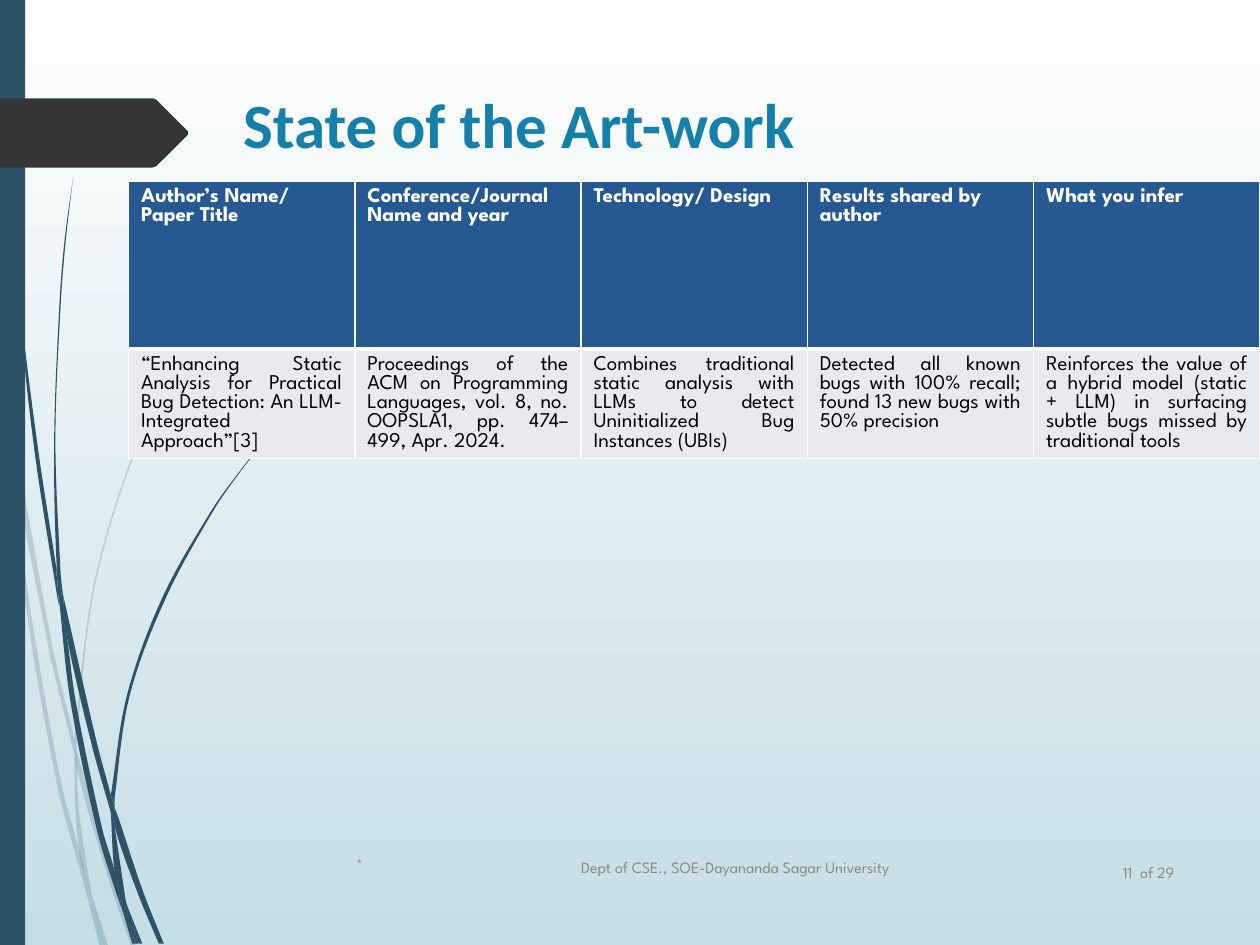
from dataclasses import dataclass
from itertools import count
from math import dist

from pptx import Presentation
from pptx.dml.color import RGBColor as Rgb
from pptx.enum.shapes import MSO_SHAPE as Preset
from pptx.enum.text import MSO_ANCHOR as Anchor, MSO_AUTO_SIZE as AutoSize, PP_ALIGN as Align
from pptx.oxml import parse_xml
from pptx.oxml.ns import nsdecls, qn
from pptx.util import Inches, Pt

COLORS = {
    "sky": "FFFFFF", "mist": "C5DEE5", "stem": "2E5369", "tag": "353535",
    "title": "1581AA", "footer": "898989", "header": "265991",
    "row": "E8EAEE", "white": "FFFFFF", "black": "000000",
}
FONTS = {
    "title": {"name": "Calibri", "size": Pt(36), "bold": True},
    "header": {"name": "League Spartan", "size": Pt(12), "bold": True},
    "row": {"name": "League Spartan", "size": Pt(12), "bold": False},
    "footer": {"name": "League Spartan", "size": Pt(9), "bold": False},
}
Point = tuple[float, float]


@dataclass(frozen=True)
class Blade:
    down: list[Point]
    back: list[Point]


@dataclass(frozen=True)
class FooterItem:
    words: str
    left: float
    top: float
    width: float
    align: Align


PALE_BLADES = [
    Blade([(0.08, 3.5), (0.06, 3.22), (0, 2.82)], [(0, 2.99), (0.07, 3.44), (0.08, 3.5)]),
    Blade([(0.4, 5.22), (0.59, 5.99)],
          [(0.59, 5.86), (0.43, 5.2), (0.1, 3.45), (0.12, 3.76), (0.4, 5.22)]),
    Blade([(0.61, 5.96), (0.61, 6.1), (0.85, 6.94), (1.04, 7.51)],
          [(1.08, 7.51), (0.88, 6.92), (0.64, 6.07), (0.61, 5.96)]),
    Blade([(0.83, 7.51), (0.86, 7.51)], [(0.73, 7.11), (0.83, 7.51)]),
    Blade([(0.08, 3.5), (0.19, 4.7), (0.45, 6.21), (0.64, 6.93), (0.7, 7.14)],
          [(0.69, 7.07), (0.65, 6.83), (0.48, 6.19), (0.22, 4.69), (0.12, 3.76), (0.08, 3.5)]),
    Blade([(0.59, 5.99), (0.6, 6.46), (0.64, 6.83), (0.67, 6.92), (0.73, 7.11)],
          [(0.72, 7.06), (0.63, 6.46), (0.61, 6.1), (0.61, 6.08), (0.59, 5.99)]),
    Blade([(0.61, 5.96), (0.61, 5.84), (0.76, 4.62), (1.11, 3.49), (1.59, 2.45),
           (1.87, 1.98), (2.01, 1.75), (2.17, 1.53)],
          [(2.17, 1.53), (2.01, 1.75), (1.86, 1.97), (1.58, 2.44), (1.1, 3.48),
           (0.75, 4.61), (0.59, 5.84), (0.59, 5.86)]),
    Blade([(0.7, 7.14), (0.79, 7.51)], [(0.82, 7.51), (0.7, 7.14)]),
    Blade([(0.59, 5.86), (0.59, 5.99), (0.61, 6.08)], [(0.61, 6.1), (0.61, 5.96)]),
    Blade([(0.65, 6.83), (0.69, 7.07), (0.7, 7.14), (0.82, 7.51)],
          [(0.83, 7.51), (0.73, 7.11), (0.67, 6.92), (0.65, 6.83)]),
]
DARK_BLADES = [
    Blade([(0.02, 0), (0.03, 0.48), (0.05, 1.1), (0.14, 2.33), (0.27, 3.55),
           (0.46, 4.77), (0.47, 4.81)],
          [(0.45, 4.57), (0.45, 4.53), (0.3, 3.55), (0.15, 2.32), (0.06, 1.09),
           (0.04, 0.48), (0.03, 0)]),
    Blade([(0.5, 4.72), (0.53, 5.05), (0.73, 5.92), (0.88, 6.45)],
          [(0.88, 6.33), (0.88, 6.31), (0.77, 5.9), (0.5, 4.72)]),
    Blade([(0.91, 6.41), (0.91, 6.56), (1.09, 7.08), (1.26, 7.49)],
          [(1.3, 7.49), (1.13, 7.06), (0.94, 6.49), (0.91, 6.41)]),
    Blade([(0.47, 4.77), (0.56, 5.57), (0.77, 6.59), (0.92, 7.08), (0.97, 7.22)],
          [(0.96, 7.17), (0.91, 6.91), (0.81, 6.57), (0.6, 5.56), (0.53, 5.05), (0.47, 4.77)]),
    Blade([(0.58, 1.41), (0.51, 1.93), (0.47, 2.45), (0.43, 3.49), (0.45, 4.49), (0.49, 4.72)],
          [(0.5, 4.72), (0.48, 4.53), (0.44, 3.49), (0.48, 2.45), (0.52, 1.93), (0.58, 1.41)]),
    Blade([(1.1, 7.49), (1.13, 7.49)], [(1.01, 7.19), (1.1, 7.49)]),
    Blade([(0.45, 4.49), (0.45, 4.53), (0.47, 4.77), (0.53, 5.05)],
          [(0.5, 4.72), (0.49, 4.72), (0.45, 4.49)]),
    Blade([(0.91, 6.41), (0.91, 6.33), (1.03, 5.52), (1.31, 4.76), (1.69, 4.06),
           (1.91, 3.74), (2.03, 3.59), (2.16, 3.44)],
          [(2.15, 3.44), (2.03, 3.58), (1.91, 3.73), (1.68, 4.05), (1.29, 4.74),
           (1.01, 5.51), (0.88, 6.31)]),
    Blade([(0.97, 7.22), (1.05, 7.49)], [(1.08, 7.49), (0.97, 7.22)]),
    Blade([(0.88, 6.45), (0.91, 6.92), (0.96, 7.06), (1.01, 7.19)],
          [(1, 7.16), (0.91, 6.56), (0.9, 6.51), (0.88, 6.45)]),
    Blade([(0.88, 6.31), (0.88, 6.45), (0.9, 6.51), (0.91, 6.56)], [(0.91, 6.41), (0.88, 6.31)]),
    Blade([(0.91, 6.91), (0.96, 7.17), (0.97, 7.22), (1.08, 7.49)],
          [(1.1, 7.49), (1.01, 7.19), (0.96, 7.06), (0.91, 6.91)]),
]
TAG = Blade([(0, 0.78), (1.21, 0.78), (1.24, 0.79), (1.49, 1.04)],
            [(1.49, 1.07), (1.24, 1.32), (1.21, 1.33), (0, 1.33)])
SURVEY = {
    "header": ["Author’s Name/ Paper Title", "Conference/Journal Name and year",
               "Technology/ Design", "Results shared by author", "What you infer"],
    "row": [
        "“Enhancing Static Analysis for Practical Bug Detection: An LLM-Integrated Approach”[3]",
        "Proceedings of the ACM on Programming Languages, vol. 8, no. OOPSLA1, pp. 474–499, Apr. 2024.",
        "Combines traditional static analysis with LLMs to detect Uninitialized Bug Instances (UBIs)",
        "Detected all known bugs with 100% recall; found 13 new bugs with 50% precision",
        "Reinforces the value of a hybrid model (static + LLM) in surfacing subtle bugs missed by traditional tools",
    ],
}
ROW_HEIGHTS = [1.33, 0.87]
ROW_LOOKS = {"header": ("white", Align.LEFT, (1, 1, 1, 3)),
             "row": ("black", Align.JUSTIFY, (1, 1, 3, 1))}
FOOTER = [
    FooterItem("*", 1.81, 6.66, 1.17, Align.RIGHT),
    FooterItem("Dept of CSE., SOE-Dayananda Sagar University", 3.17, 6.68, 5.33, Align.CENTER),
    FooterItem("11  of 29", 8.69, 6.72, 0.85, Align.CENTER),
]


def handle(at: Point, before: Point, after: Point, reach: float) -> Point:
    span = dist(before, after) or 1
    return tuple(p + (b - a) * reach / span for p, a, b in zip(at, before, after))


def bend(shape, edges: list[list[Point]]) -> None:
    lines = {number: line for number, line in enumerate(list(shape.element.iter(qn("a:lnTo"))), 1)}
    first = 0
    for edge in edges:
        padded = [edge[0], *edge, edge[-1]]
        for step, (a, b, c, d) in enumerate(zip(padded, padded[1:], padded[2:], padded[3:]), 1):
            line, reach = lines[first + step], dist(b, c) / 3
            line.tag = qn("a:cubicBezTo")
            for place, (x, y) in enumerate((handle(b, a, c, reach), handle(c, d, b, reach))):
                line.insert(place, parse_xml(
                    f'<a:pt {nsdecls("a")} x="{Inches(x) - shape.left}" y="{Inches(y) - shape.top}"/>'))
        first += len(edge)


def paint(shape, color: str, opacity: int = 100) -> None:
    shape.shadow.inherit = False
    shape.fill.solid()
    shape.fill.fore_color.rgb = Rgb.from_string(COLORS[color])
    shape.line.fill.background()
    if opacity < 100:
        tint = shape.element.spPr.find(qn("a:solidFill"))[0]
        tint.append(parse_xml(f'<a:alpha {nsdecls("a")} val="{opacity * 1000}"/>'))


def draw_blade(shapes, blade: Blade, color: str, opacity: int = 100, curved: bool = True) -> None:
    corners = [(Inches(x), Inches(y)) for x, y in blade.down + blade.back]
    builder = shapes.build_freeform(*corners[0])
    builder.add_line_segments(corners[1:], close=True)
    outline = builder.convert_to_shape()
    if curved:
        bend(outline, [blade.down, blade.back])
    paint(outline, color, opacity)


def draw_decor(slide, master) -> None:
    decor = []
    for blades, opacity in ((PALE_BLADES, 20), (DARK_BLADES, 100)):
        tuft = slide.shapes.add_group_shape()
        for blade in blades:
            draw_blade(tuft.shapes, blade, "stem", opacity)
    paint(slide.shapes.add_shape(Preset.RECTANGLE, 0, 0, Inches(0.2), Inches(7.5)), "stem")
    draw_blade(slide.shapes, TAG, "tag", curved=False)
    decor = [shape.element for shape in slide.shapes if not shape.is_placeholder]
    numbers = count(100)
    for place, part in enumerate(decor, 2):
        for props in part.iter(qn("p:cNvPr")):
            props.set("id", str(next(numbers)))
        master.element.cSld.spTree.insert(place, part)


def write(frame, words: str, style: str, color: str, align: Align) -> None:
    frame.word_wrap = True
    frame.text = words
    line = frame.paragraphs[0]
    line.alignment = align
    font = line.runs[0].font
    for attribute, value in FONTS[style].items():
        setattr(font, attribute, value)
    font.color.rgb = Rgb.from_string(COLORS[color])


def draw_survey(slide) -> None:
    table = slide.shapes.add_table(
        len(SURVEY), len(SURVEY["header"]), Inches(1.02), Inches(1.44),
        Inches(8.98), Inches(sum(ROW_HEIGHTS))).table
    for row, height, (kind, entries) in zip(table.rows, ROW_HEIGHTS, SURVEY.items()):
        row.height = Inches(height)
        color, align, widths = ROW_LOOKS[kind]
        for cell, words in zip(row.cells, entries):
            write(cell.text_frame, words, kind, color, align)
            cell.fill.solid()
            cell.fill.fore_color.rgb = Rgb.from_string(COLORS[kind])
            for place, (side, width) in enumerate(zip("LRTB", widths)):
                cell._tc.get_or_add_tcPr().insert(place, parse_xml(
                    f'<a:ln{side} {nsdecls("a")} w="{Pt(width)}"><a:solidFill>'
                    f'<a:srgbClr val="{COLORS["white"]}"/></a:solidFill></a:ln{side}>'))


def draw_footer(slide, item: FooterItem) -> None:
    box = slide.shapes.add_textbox(
        Inches(item.left), Inches(item.top), Inches(item.width), Inches(0.4))
    box.text_frame.vertical_anchor = Anchor.MIDDLE
    write(box.text_frame, item.words, "footer", "footer", item.align)


deck = Presentation()
deck.slide_width, deck.slide_height = Inches(10), Inches(7.5)
survey_slide = deck.slides.add_slide(deck.slide_layouts[5])
backdrop = survey_slide.background.fill
backdrop.gradient()
backdrop.gradient_angle = 270
for stop, shade in zip(backdrop.gradient_stops, ("sky", "mist")):
    stop.color.rgb = Rgb.from_string(COLORS[shade])
draw_decor(survey_slide, deck.slide_master)
title = survey_slide.shapes.title
title.left, title.top, title.width, title.height = map(Inches, (1.83, 0.63, 7.21, 0.82))
title.text_frame.auto_size = AutoSize.NONE
title.text_frame.vertical_anchor = Anchor.TOP
write(title.text_frame, "State of the Art-work", "title", "title", Align.LEFT)
draw_survey(survey_slide)
for entry in FOOTER:
    draw_footer(survey_slide, entry)
deck.save("out.pptx")
